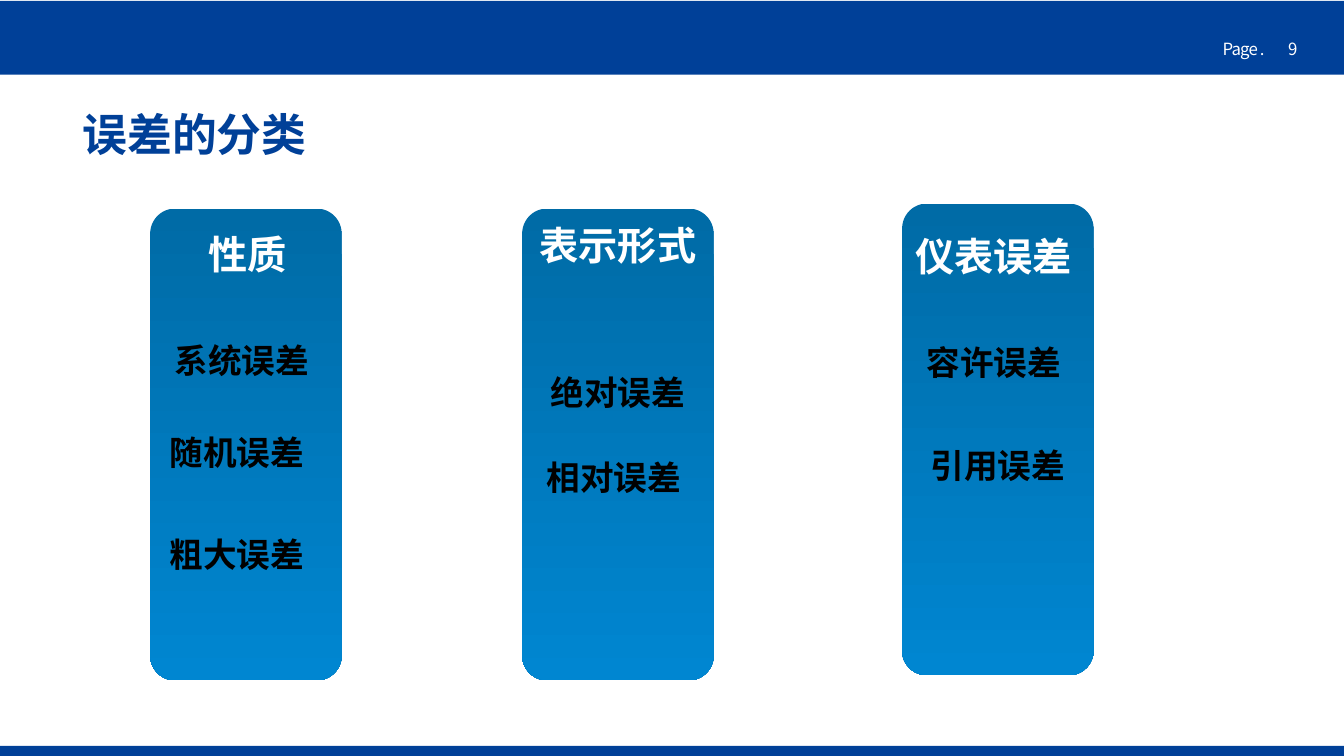
from dataclasses import dataclass

from lxml.etree import SubElement
from pptx import Presentation
from pptx.dml.color import RGBColor
from pptx.enum.shapes import MSO_SHAPE as Preset
from pptx.enum.text import MSO_AUTO_SIZE as AutoSize, PP_ALIGN as Align
from pptx.oxml.ns import qn
from pptx.shapes.autoshape import Shape
from pptx.slide import Slide
from pptx.util import Pt

NAVY = RGBColor(0x00, 0x40, 0x98)
PANEL_TOP = RGBColor(0x00, 0x6B, 0xA6)
PANEL_BOTTOM = RGBColor(0x00, 0x86, 0xD1)
WHITE = RGBColor(0xFF, 0xFF, 0xFF)
BLACK = RGBColor(0x00, 0x00, 0x00)

CJK_FONT = "Noto Sans CJK SC"
SLIDE_WIDTH, SLIDE_HEIGHT = 960, 540
PANEL_WIDTH, PANEL_HEIGHT = 136.8, 337
HEADING_HEIGHT, ITEM_HEIGHT = 41, 36


@dataclass(frozen=True)
class Label:
    text: str
    left: float
    top: float
    width: float = PANEL_WIDTH


@dataclass(frozen=True)
class Style:
    size: float
    font: str
    color: RGBColor
    bold: bool = True
    align: Align = Align.CENTER
    line_spacing: float = 1.0
    tracking: int = 0
    wrap: bool = True
    grow: bool = True


@dataclass(frozen=True)
class Category:
    left: float
    top: float
    heading: Label
    errors: tuple[Label, ...]


TITLE = Style(32, "Times New Roman", NAVY, align=Align.LEFT, line_spacing=0.9, grow=False)
HEADING = Style(28, "Arial", WHITE)
ITEM = Style(24, CJK_FONT, BLACK)
PAGE_NUMBER = Style(12, CJK_FONT, WHITE, bold=False, align=Align.LEFT, tracking=-60)
PAGE_WORD = Style(12, CJK_FONT, WHITE, bold=False, align=Align.LEFT, tracking=-60, wrap=False)

CATEGORIES = (
    Category(107.3, 149, Label("性质", 124.6, 161.3, 104.4), (
        Label("系统误差", 104.4, 239),
        Label("随机误差", 100.8, 305.3),
        Label("粗大误差", 100.8, 378),
    )),
    Category(373, 149, Label("表示形式", 373, 154.8), (
        Label("绝对误差", 373, 262),
        Label("相对误差", 370, 322.6),
    )),
    Category(644.4, 145.4, Label("仪表误差", 641.5, 162.7), (
        Label("容许误差", 641.5, 240.5),
        Label("引用误差", 644.4, 314),
    )),
)


def add_block(slide: Slide, preset: Preset, left: float, top: float,
              width: float, height: float) -> Shape:
    block = slide.shapes.add_shape(preset, Pt(left), Pt(top), Pt(width), Pt(height))
    block.shadow.inherit = False
    block.line.fill.background()
    return block


def add_band(slide: Slide, top: float, height: float) -> None:
    band = add_block(slide, Preset.RECTANGLE, 0, top, SLIDE_WIDTH, height)
    band.fill.solid()
    band.fill.fore_color.rgb = NAVY


def add_label(slide: Slide, label: Label, height: float, style: Style) -> None:
    box = slide.shapes.add_textbox(Pt(label.left), Pt(label.top), Pt(label.width), Pt(height))
    frame = box.text_frame
    frame.word_wrap = style.wrap
    frame.auto_size = AutoSize.SHAPE_TO_FIT_TEXT if style.grow else AutoSize.NONE
    paragraph = frame.paragraphs[0]
    paragraph.text = label.text
    paragraph.alignment = style.align
    paragraph.line_spacing = style.line_spacing
    font = paragraph.font
    font.size = Pt(style.size)
    font.bold = style.bold
    font.color.rgb = style.color
    font.name = style.font
    properties = paragraph._p.pPr.find(qn("a:defRPr"))
    SubElement(properties, qn("a:ea")).set("typeface", CJK_FONT)
    if style.tracking:
        properties.set("spc", str(style.tracking))


def add_category(slide: Slide, category: Category) -> None:
    panel = add_block(slide, Preset.ROUNDED_RECTANGLE, category.left, category.top,
                      PANEL_WIDTH, PANEL_HEIGHT)
    panel.adjustments[0] = 0.13
    panel.fill.gradient()
    panel.fill.gradient_angle = 270
    for stop, color in zip(panel.fill.gradient_stops, (PANEL_TOP, PANEL_BOTTOM)):
        stop.color.rgb = color
    add_label(slide, category.heading, HEADING_HEIGHT, HEADING)
    for error in category.errors:
        add_label(slide, error, ITEM_HEIGHT, ITEM)


def main() -> None:
    deck = Presentation()
    deck.slide_width, deck.slide_height = Pt(SLIDE_WIDTH), Pt(SLIDE_HEIGHT)
    slide = deck.slides.add_slide(deck.slide_layouts[6])
    add_band(slide, 532.8, 7.2)
    add_band(slide, 0.7, 52.6)
    add_label(slide, Label("Page .", 866.2, 24.5, 45.4), 21.6, PAGE_WORD)
    add_label(slide, Label("9", 913, 24.5, 46.8), 21.6, PAGE_NUMBER)
    add_label(slide, Label("误差的分类", 51.8, 77, 879), 45.4, TITLE)
    for category in CATEGORIES:
        add_category(slide, category)
    deck.save("out.pptx")


if __name__ == "__main__":
    main()
